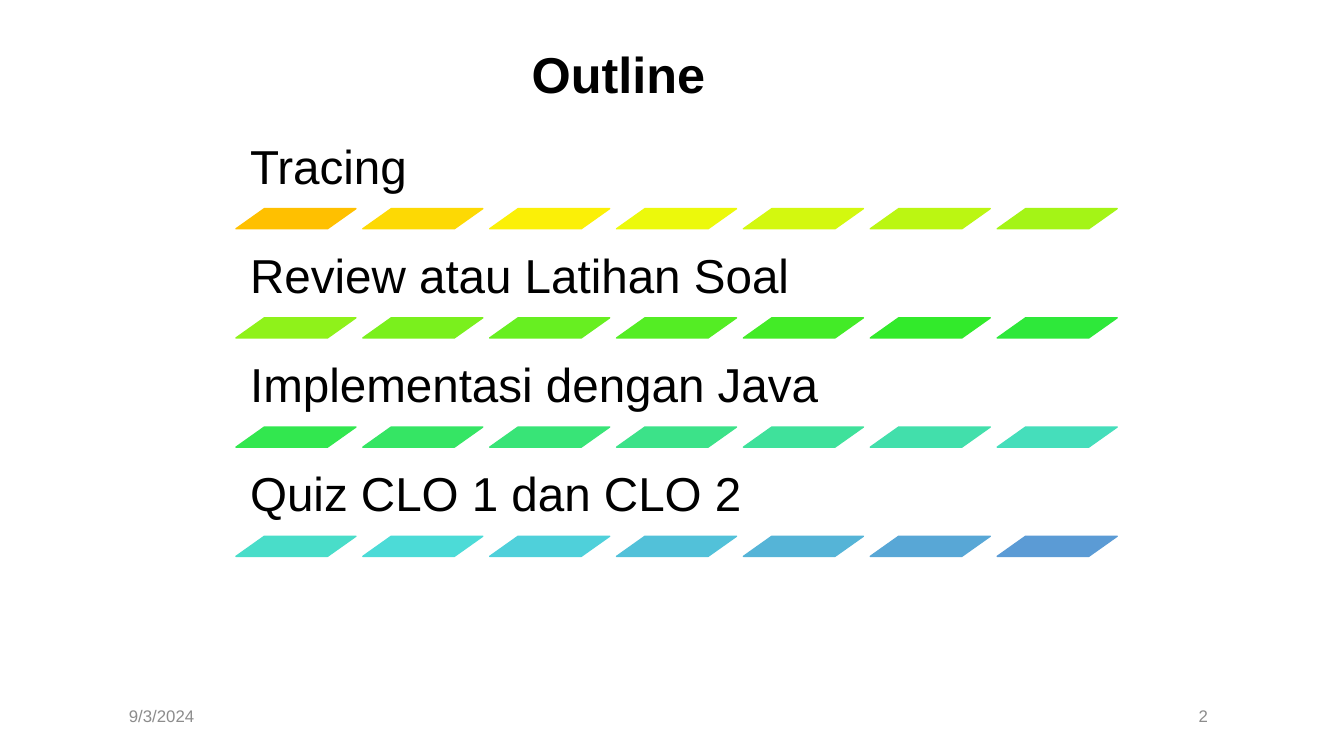
"""Build the outline slide: four topics underlined by a running colour gradient."""
from colorsys import hls_to_rgb, rgb_to_hls

from pptx import Presentation
from pptx.dml.color import RGBColor
from pptx.enum.shapes import MSO_SHAPE as Shape
from pptx.enum.text import MSO_ANCHOR as Anchor, PP_ALIGN as Align
from pptx.util import Inches, Pt


def color(hex_code):
    return RGBColor.from_string(hex_code)


def write(holder, text, size, hex_code, anchor, align=Align.LEFT, spacing=1.0, bold=False):
    frame = holder.text_frame
    frame.word_wrap = True
    frame.vertical_anchor = anchor
    paragraph = frame.paragraphs[0]
    paragraph.alignment = align
    paragraph.line_spacing = spacing
    run = paragraph.add_run()
    run.text = text
    run.font.name = "Arial"
    run.font.size = Pt(size)
    run.font.bold = bold
    run.font.color.rgb = color(hex_code)


TOPICS = ["Tracing", "Review atau Latihan Soal", "Implementasi dengan Java", "Quiz CLO 1 dan CLO 2"]
DASHES = 7
LEFT, TOP = 2.34, 1.26
ROW_STEP = 3.25 / 3
DASH_STEP = 7.55 / 6
TOPIC_HEIGHT = 0.81

prs = Presentation()
prs.slide_width, prs.slide_height = Inches(13.33), Inches(7.5)
slide = prs.slides.add_slide(prs.slide_layouts[5])

first_hls = rgb_to_hls(*(part / 255 for part in color("FFC000")))
last_hls = rgb_to_hls(*(part / 255 for part in color("5B9BD5")))
last_dash = len(TOPICS) * DASHES - 1

for row, topic in enumerate(TOPICS):
    top = TOP + row * ROW_STEP
    label = slide.shapes.add_textbox(Inches(LEFT), Inches(top), Inches(8.91), Inches(TOPIC_HEIGHT))
    frame = label.text_frame
    frame.margin_left = frame.margin_right = Inches(0.14)
    frame.margin_top = frame.margin_bottom = Inches(0.14)
    write(label, topic, 34, "000000", Anchor.BOTTOM, spacing=0.9)

    for column in range(DASHES):
        share = (row * DASHES + column) / last_dash
        hls = [start + (end - start) * share for start, end in zip(first_hls, last_hls)]
        shade = "".join(f"{round(part * 255):02X}" for part in hls_to_rgb(*hls))
        dash = slide.shapes.add_shape(
            Shape.PARALLELOGRAM, Inches(LEFT + column * DASH_STEP), Inches(top + TOPIC_HEIGHT),
            Inches(1.19), Inches(0.2))
        dash.adjustments[0] = 1.41
        dash.shadow.inherit = False
        dash.fill.solid()
        dash.fill.fore_color.rgb = color(shade)
        dash.line.color.rgb = color(shade)
        dash.line.width = Pt(1)

for text, left, width, align in [("9/3/2024", 1.18, 1.51, Align.LEFT), ("2", 2.75, 9.33, Align.RIGHT)]:
    footer = slide.shapes.add_textbox(Inches(left), Inches(6.9), Inches(width), Inches(0.4))
    write(footer, text, 12, "8C8C8C", Anchor.MIDDLE, align)

title = slide.shapes.title
title.left, title.top = Inches(1.18), Inches(0.4)
title.width, title.height = Inches(9.91), Inches(0.74)
write(title, "Outline", 36, "000000", Anchor.MIDDLE, Align.CENTER, 0.9, True)

prs.save("out.pptx")
